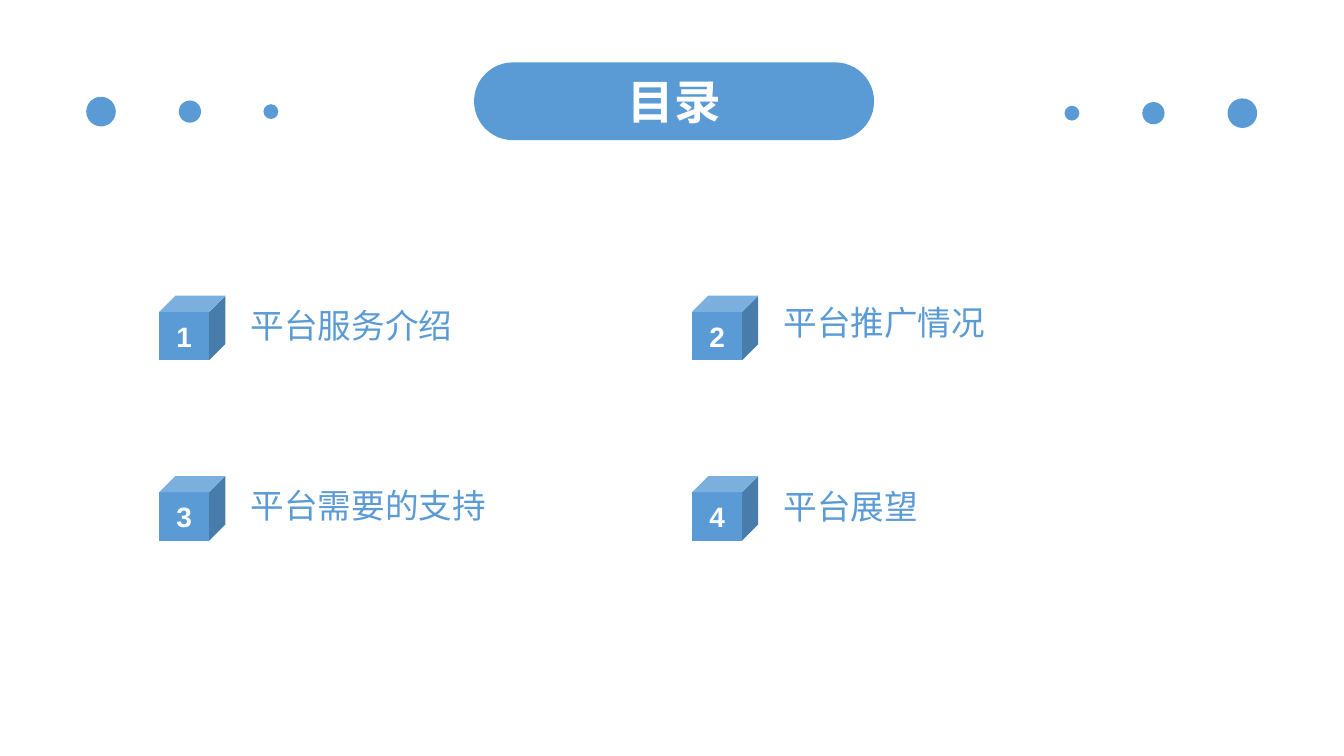
import pptx
import pptx.dml.color
import pptx.enum.shapes
import pptx.enum.text
import pptx.util

Cm = pptx.util.Cm
SHAPE = pptx.enum.shapes.MSO_SHAPE
ALIGN = pptx.enum.text.PP_ALIGN
MIDDLE = pptx.enum.text.MSO_ANCHOR.MIDDLE

BLUE = "5B9BD5"
WHITE = "FFFFFF"

DOT_DIAMETERS = (0.56, 0.42, 0.28)
DOT_ROWS = [  # centre height, centres from the largest dot to the smallest
    (2.11, (1.91, 3.59, 5.12)),
    (2.14, (23.48, 21.8, 20.26)),
]
COLUMN_LEFTS = (3.01, 13.08)
ROW_TOPS = (5.59, 9)
LABEL_OFFSET = 1.73
LABEL_WIDTHS = (7.37, 8.1)
ENTRIES = [  # wording, top of its label
    ("平台服务介绍", 5.51),
    ("平台推广情况", 5.46),
    ("平台需要的支持", 8.92),
    ("平台展望", 8.94),
]

NUMBER_FORMAT = {"size": pptx.util.Pt(15), "bold": True}
LABEL_FORMAT = {"size": pptx.util.Pt(18)}
TITLE_FORMAT = {"size": pptx.util.Pt(25), "bold": True}


def rgb(value):
    return pptx.dml.color.RGBColor.from_string(value)


def set_attributes(target, values):
    for name, value in values.items():
        setattr(target, name, value)


def write(shape, wording, color, font_format, align, line_spacing=1.0):
    """Put one vertically centred paragraph without insets into a shape."""
    frame = shape.text_frame
    set_attributes(frame, {
        "word_wrap": True, "vertical_anchor": MIDDLE,
        "margin_left": 0, "margin_right": 0,
        "margin_top": 0, "margin_bottom": 0,
    })
    paragraph = frame.paragraphs[0]
    set_attributes(paragraph, {"alignment": align, "line_spacing": line_spacing})
    run = paragraph.add_run()
    run.text = wording
    set_attributes(run.font, {"name": "Arial", **font_format})
    run.font.color.rgb = rgb(color)


def add_solid(slide, preset, left, top, width, height):
    """Add a blue preset shape without outline or shadow."""
    solid = slide.shapes.add_shape(preset, Cm(left), Cm(top), Cm(width), Cm(height))
    solid.shadow.inherit = False
    solid.fill.solid()
    solid.fill.fore_color.rgb = rgb(BLUE)
    solid.line.fill.background()
    return solid


def add_dots(slide):
    for middle, centers in DOT_ROWS:
        for center, diameter in zip(centers, DOT_DIAMETERS):
            radius = diameter / 2
            add_solid(slide, SHAPE.OVAL, center - radius, middle - radius,
                      diameter, diameter)


def add_title(slide, wording):
    pill = add_solid(slide, SHAPE.ROUNDED_RECTANGLE, 8.96, 1.18, 7.56, 1.47)
    pill.adjustments[0] = 0.5
    write(pill, wording, WHITE, TITLE_FORMAT, ALIGN.CENTER)


def add_entry(slide, index, wording, label_top):
    row, column = divmod(index, len(COLUMN_LEFTS))
    left = COLUMN_LEFTS[column]
    cube = add_solid(slide, SHAPE.CUBE, left, ROW_TOPS[row], 1.25, 1.22)
    write(cube, str(index + 1), WHITE, NUMBER_FORMAT, ALIGN.CENTER)
    label = slide.shapes.add_textbox(Cm(left + LABEL_OFFSET), Cm(label_top),
                                     Cm(LABEL_WIDTHS[column]), Cm(1.35))
    write(label, wording, BLUE, LABEL_FORMAT, ALIGN.LEFT, 0.9)


def main():
    presentation = pptx.Presentation()
    presentation.slide_width = Cm(25.4)
    presentation.slide_height = Cm(14.29)
    slide = presentation.slides.add_slide(presentation.slide_layouts[6])
    add_dots(slide)
    for index, (wording, label_top) in enumerate(ENTRIES):
        add_entry(slide, index, wording, label_top)
    add_title(slide, "目录")
    presentation.save("out.pptx")


if __name__ == "__main__":
    main()
